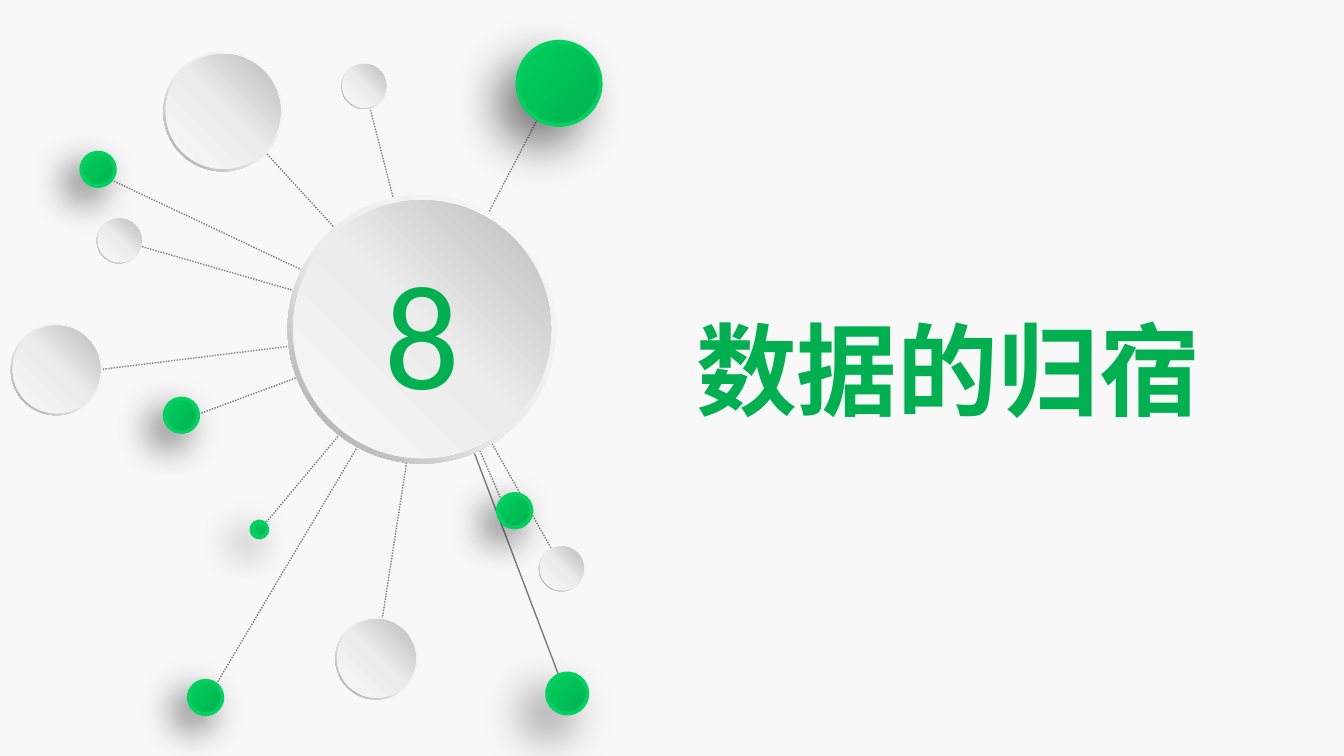
from collections import namedtuple
from dataclasses import dataclass

from lxml.etree import SubElement
from pptx import Presentation
from pptx.dml.color import RGBColor
from pptx.enum.dml import MSO_LINE
from pptx.enum.shapes import MSO_CONNECTOR, MSO_SHAPE
from pptx.enum.text import MSO_ANCHOR, MSO_AUTO_SIZE, PP_ALIGN
from pptx.oxml import parse_xml
from pptx.oxml.ns import nsdecls, qn
from pptx.util import Inches, Pt


@dataclass(frozen=True)
class Theme:
    page: str = "F8F8F8"
    green: str = "00B050"
    bright: str = "00D15F"
    spoke: str = "7C7C7C"
    shade: str = "000000"
    rim: tuple = ((0, "F8F8F8"), (55, "ECECEC"), (100, "A1A1A1"))
    face: tuple = ((0, "F8F8F8"), (51, "ECECEC"), (100, "BABABA"))
    ball: tuple = ((0, "00B050"), (100, "00D15F"))
    latin: str = "Calibri"
    han: str = "Noto Sans CJK SC"
    number: int = 80
    title: int = 54


THEME = Theme()
Box = namedtuple("Box", "left top width height")
Node = namedtuple("Node", "kind x y size start")

# Centre, diameter and spoke start of each node, from back to front
NODES = [
    Node("ball", 4.16, 0.62, 0.62, (4.14, 0.62)),
    Node("ball", 3.83, 3.80, 0.25, (3.73, 3.72)),
    Node("ball", 1.35, 3.09, 0.25, (1.48, 3.08)),
    Node("disc", 1.66, 0.83, 0.89, (1.67, 0.80)),
    Node("disc", 0.42, 2.75, 0.68, (0.42, 2.79)),
    Node("disc", 2.71, 0.64, 0.34, (2.71, 0.64)),
    Node("disc", 0.89, 1.79, 0.34, (0.90, 1.79)),
    Node("disc", 2.80, 4.90, 0.61, (2.80, 4.89)),
    Node("ball", 0.73, 1.26, 0.25, (0.83, 1.34)),
    Node("ball", 1.93, 3.94, 0.12, (1.97, 3.90)),
    Node("ball", 1.53, 5.19, 0.25, (1.61, 5.09)),
    Node("disc", 4.18, 4.23, 0.34, (4.18, 4.22)),
    Node("ball", 4.22, 5.16, 0.30, (4.22, 5.19)),
]
HUB = Node("disc", 3.14, 2.45, 2, (3.18, 2.45))


def color(code):
    return RGBColor.from_string(code)


def blend(shape, stops, angle):
    """Fill a shape with a linear gradient."""
    marks = "".join(
        f'<a:gs pos="{pos * 1000}"><a:srgbClr val="{code}"/></a:gs>'
        for pos, code in stops)
    fill = parse_xml(
        f'<a:gradFill {nsdecls("a")} rotWithShape="1"><a:gsLst>{marks}</a:gsLst>'
        f'<a:lin ang="{angle * 60000}" scaled="0"/></a:gradFill>')
    shape._element.spPr.find(qn("a:prstGeom")).addnext(fill)


def add_round(shapes, form, x, y, size):
    """Add a plain round shape about a centre."""
    shape = shapes.add_shape(form, Inches(x - size / 2), Inches(y - size / 2),
                             Inches(size), Inches(size))
    shape.shadow.inherit = False
    return shape


def add_ball(shapes, x, y, size):
    ball = add_round(shapes, MSO_SHAPE.OVAL, x, y, size)
    ball.rotation = 175
    blend(ball, THEME.ball, 45)
    ball.line.color.rgb = color(THEME.bright)
    ball.line.width = Pt(2)
    alpha, blur, dist = (50, 25, 15) if size >= 0.3 else (60, 20, 10)
    effects = ball._element.spPr.find(qn("a:effectLst"))
    effects.append(parse_xml(
        f'<a:outerShdw {nsdecls("a")} blurRad="{Pt(blur)}" dist="{Pt(dist)}" '
        f'dir="{135 * 60000}" algn="tr" rotWithShape="0">'
        f'<a:srgbClr val="{THEME.shade}"><a:alpha val="{alpha * 1000}"/>'
        f'</a:srgbClr></a:outerShdw>'))


def add_disc(shapes, x, y, size):
    """Add a grey disc with a rim and return its face."""
    group = shapes.add_group_shape()
    rim = add_round(group.shapes, MSO_SHAPE.DONUT, x, y, size)
    rim.adjustments[0] = 0.049
    face = add_round(group.shapes, MSO_SHAPE.OVAL, x, y, size * 0.96)
    for part, stops, angle in ((rim, THEME.rim, 135), (face, THEME.face, 315)):
        blend(part, stops, angle)
        part.line.fill.background()
    return face


def add_spoke(shapes, start, end, dotted):
    spoke = shapes.add_connector(MSO_CONNECTOR.STRAIGHT,
                                 *(Inches(n) for n in (*start, *end)))
    spoke.line.color.rgb = color(THEME.spoke)
    spoke.line.width = Pt(0.75)
    if dotted:
        spoke.line.dash_style = MSO_LINE.ROUND_DOT
    SubElement(spoke._element.spPr, qn("a:effectLst"))


def add_run(para, text, font, size, bold=False):
    run = para.add_run()
    run.text = text
    run.font.name = font
    run.font.size = Pt(size)
    run.font.bold = bold
    run.font.color.rgb = color(THEME.green)
    SubElement(run.font._element, qn("a:ea")).set("typeface", font)


def add_web(slide, box, number):
    """Draw the numbered hub, its spokes and its nodes."""
    shapes = slide.shapes

    def move(x, y):
        return box.left + x, box.top + y

    for node in NODES:
        add_spoke(shapes, move(*node.start), move(*HUB.start),
                  dotted=node is not NODES[-1])
    for node in NODES[:-1] + [HUB] + NODES[-1:]:
        draw = add_ball if node.kind == "ball" else add_disc
        face = draw(shapes, *move(node.x, node.y), node.size)
        if node is HUB:
            frame = face.text_frame
            frame.vertical_anchor = MSO_ANCHOR.MIDDLE
            para = frame.paragraphs[0]
            para.alignment = PP_ALIGN.CENTER
            add_run(para, number, THEME.latin, THEME.number)


def set_title(slide, box, text):
    title = slide.shapes.title
    title.left, title.top, title.width, title.height = map(Inches, box)
    frame = title.text_frame
    frame.word_wrap = True
    frame.auto_size = MSO_AUTO_SIZE.SHAPE_TO_FIT_TEXT
    frame.vertical_anchor = MSO_ANCHOR.TOP
    para = frame.paragraphs[0]
    para.alignment = PP_ALIGN.LEFT
    add_run(para, text, THEME.han, THEME.title, bold=True)


def main():
    deck = Presentation()
    deck.slide_width = Inches(10)
    deck.slide_height = deck.slide_width * 9 // 16
    slide = deck.slides.add_slide(deck.slide_layouts[5])
    slide.background.fill.solid()
    slide.background.fill.fore_color.rgb = color(THEME.page)
    add_web(slide, Box(0, 0, 5, 5.62), "8")
    set_title(slide, Box(5.08, 2.24, 4.49, 1.01), "数据的归宿")
    deck.save("out.pptx")


if __name__ == "__main__":
    main()
